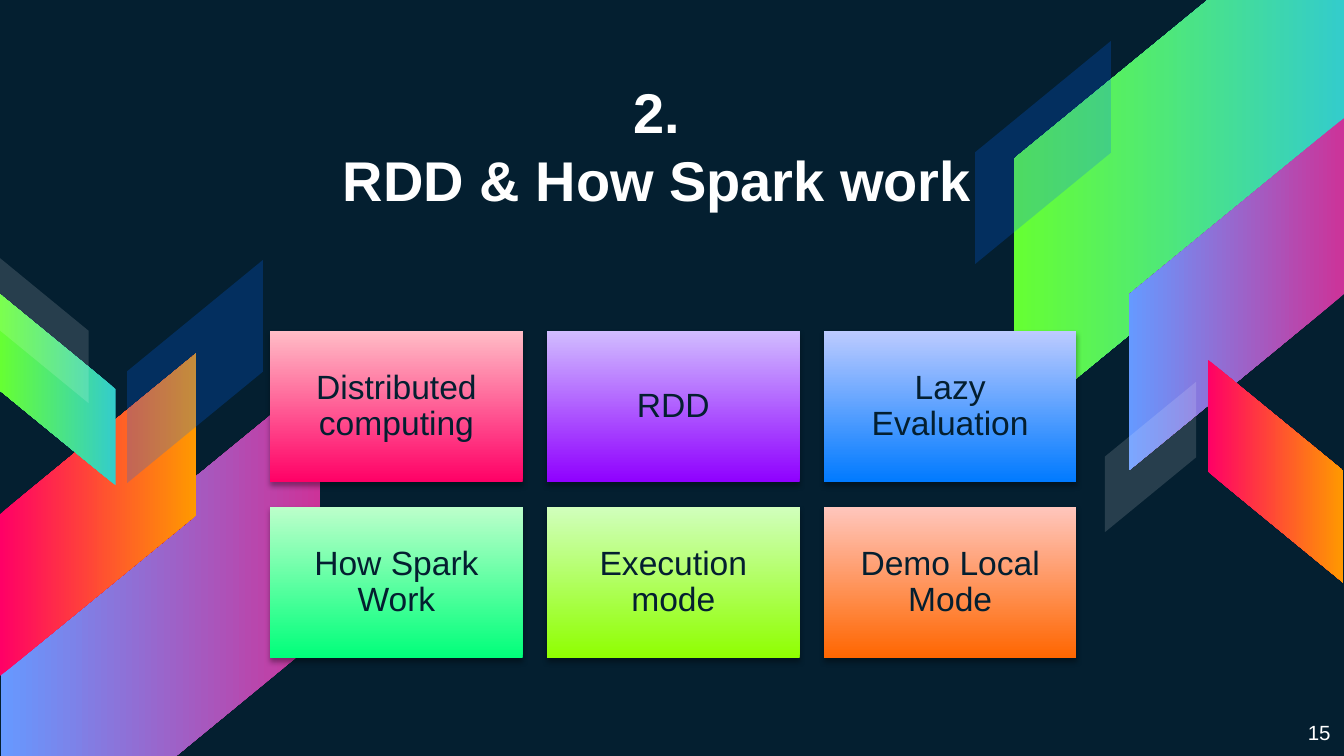
from typing import NamedTuple, Optional

from lxml.etree import SubElement
from pptx import Presentation
from pptx.dml.color import RGBColor
from pptx.enum.shapes import MSO_SHAPE
from pptx.enum.text import MSO_ANCHOR, MSO_AUTO_SIZE, PP_ALIGN
from pptx.oxml.ns import qn
from pptx.util import Inches, Pt

NAVY = RGBColor(0x04, 0x1F, 0x30)
WHITE = RGBColor(0xFF, 0xFF, 0xFF)
BLUE = RGBColor(0x00, 0x66, 0xFF)
TEAL = RGBColor(0x33, 0xCC, 0xCC)
LIME = RGBColor(0x66, 0xFF, 0x33)
MAGENTA = RGBColor(0xCC, 0x33, 0x99)
SKY = RGBColor(0x66, 0x99, 0xFF)
RED = RGBColor(0xFF, 0x00, 0x66)
AMBER = RGBColor(0xFF, 0x99, 0x00)
FONT = "Arial"
SLANT = 0.82


class Ribbon(NamedTuple):
    left: float
    top: float
    width: float
    height: float
    rotation: int
    flip: bool
    start: RGBColor
    end: Optional[RGBColor] = None  # without an end colour the fill is plain
    alpha: int = 100


class Card(NamedTuple):
    text: str
    bottom: RGBColor
    top: RGBColor


RIBBONS = [
    Ribbon(6.76, -0.05, 4.03, 2.46, 90, True, TEAL, LIME),
    Ribbon(-0.76, 3.55, 3.91, 2.38, 90, True, MAGENTA, SKY),
    Ribbon(-0.47, 3.1, 2.4, 1.46, 270, True, RED, AMBER),
    Ribbon(0.62, 2.26, 1.66, 1.01, 270, True, BLUE, alpha=23),
    Ribbon(-0.28, 2.47, 1.42, 0.86, 90, False, TEAL, LIME),
    Ribbon(-0.21, 2.13, 1.08, 0.66, 270, False, WHITE, alpha=14),
    Ribbon(7.89, 1.39, 2.62, 1.6, 90, True, MAGENTA, SKY),
    Ribbon(8.66, 3, 1.66, 1.01, 270, False, RED, AMBER),
    Ribbon(8, 3.06, 1.12, 0.68, 270, True, WHITE, alpha=14),
    Ribbon(6.93, 0.63, 1.66, 1.01, 270, True, BLUE, alpha=23),
]

CARDS = [
    Card("Distributed computing", RED, RGBColor(0xFF, 0xBD, 0xC6)),
    Card("RDD", RGBColor(0x8F, 0x00, 0xFF), RGBColor(0xD1, 0xBD, 0xFF)),
    Card("Lazy Evaluation", RGBColor(0x00, 0x7A, 0xFF), RGBColor(0xBD, 0xCB, 0xFF)),
    Card("How Spark Work", RGBColor(0x00, 0xFF, 0x7A), RGBColor(0xBD, 0xFF, 0xCB)),
    Card("Execution mode", RGBColor(0x8F, 0xFF, 0x00), RGBColor(0xD1, 0xFF, 0xBD)),
    Card("Demo Local Mode", RGBColor(0xFF, 0x66, 0x00), RGBColor(0xFF, 0xC6, 0xBD)),
]
COLUMNS = 3
CARD_LEFT, CARD_TOP = 2.01, 2.46
CARD_WIDTH, CARD_HEIGHT = 1.88, 1.13
GAP = 0.18


def place(sp, left: float, top: float, width: float, height: float) -> None:
    sp.left, sp.top = Inches(left), Inches(top)
    sp.width, sp.height = Inches(width), Inches(height)


def write(sp, text: str, *, size: float, color: RGBColor, align: PP_ALIGN,
          anchor: MSO_ANCHOR = MSO_ANCHOR.TOP, bold: bool = False,
          inset: float = 0.1, spacing: float = 1.0) -> None:
    """Fill a shape with text, one paragraph for each line."""
    tf = sp.text_frame
    tf.text = text
    tf.word_wrap = True
    tf.auto_size = MSO_AUTO_SIZE.NONE
    tf.vertical_anchor = anchor
    tf.margin_left = tf.margin_right = Inches(inset)
    tf.margin_top = tf.margin_bottom = Inches(inset)
    for p in tf.paragraphs:
        p.alignment = align
        p.line_spacing = spacing
        p.space_before = Pt(0)
        for r in p.runs:
            r.font.name = FONT
            r.font.size = Pt(size)
            r.font.bold = bold
            r.font.color.rgb = color


def fill_gradient(sp, start: RGBColor, end: RGBColor, angle: int) -> None:
    sp.fill.gradient()
    sp.fill.gradient_angle = angle
    for stop, color in zip(sp.fill.gradient_stops, (start, end)):
        stop.color.rgb = color


def add_plain_shape(s, kind: MSO_SHAPE):
    sp = s.shapes.add_shape(kind, 0, 0, 0, 0)
    sp.shadow.inherit = False
    sp.line.fill.background()
    return sp


def add_ribbon(s, ribbon: Ribbon) -> None:
    sp = add_plain_shape(s, MSO_SHAPE.PARALLELOGRAM)
    place(sp, *ribbon[:4])
    sp.adjustments[0] = SLANT
    sp.rotation = ribbon.rotation
    if ribbon.flip:
        sp._element.spPr.xfrm.set("flipH", "1")
    if ribbon.end is not None:
        fill_gradient(sp, ribbon.start, ribbon.end, 270)
    else:
        sp.fill.solid()
        sp.fill.fore_color.rgb = ribbon.start
        clr = sp._element.spPr.find(".//" + qn("a:srgbClr"))
        SubElement(clr, qn("a:alpha"), val=str(ribbon.alpha * 1000))


def add_soft_shadow(sp) -> None:
    effects = sp._element.spPr.find(qn("a:effectLst"))
    shadow = SubElement(effects, qn("a:outerShdw"), blurRad=str(Pt(3.1)),
                        dist=str(Pt(1.8)), dir="5400000", rotWithShape="0")
    clr = SubElement(shadow, qn("a:srgbClr"), val="000000")
    SubElement(clr, qn("a:alpha"), val="35000")


def add_card(s, index: int, card: Card) -> None:
    row, column = divmod(index, COLUMNS)
    sp = add_plain_shape(s, MSO_SHAPE.RECTANGLE)
    place(sp, CARD_LEFT + column * (CARD_WIDTH + GAP),
          CARD_TOP + row * (CARD_HEIGHT + GAP), CARD_WIDTH, CARD_HEIGHT)
    fill_gradient(sp, card.bottom, card.top, 90)
    add_soft_shadow(sp)
    write(sp, card.text, size=18, color=NAVY, align=PP_ALIGN.CENTER,
          anchor=MSO_ANCHOR.MIDDLE, inset=0.07, spacing=0.9)


def main() -> None:
    # Widescreen page, 16:9
    prs = Presentation()
    prs.slide_width = Inches(10)
    prs.slide_height = prs.slide_width * 9 // 16
    s = prs.slides.add_slide(prs.slide_layouts[5])
    s.background.fill.solid()
    s.background.fill.fore_color.rgb = NAVY

    # Slanted ribbons on both sides
    for ribbon in RIBBONS:
        add_ribbon(s, ribbon)

    # Title
    title = s.shapes.title
    place(title, 2.19, 0.41, 5.4, 1.27)
    write(title, "2.\nRDD & How Spark work", size=30, color=WHITE, bold=True,
          align=PP_ALIGN.CENTER, anchor=MSO_ANCHOR.BOTTOM)

    # Slide number
    number = s.shapes.add_textbox(0, 0, 0, 0)
    place(number, 9.36, 5.26, 0.64, 0.36)
    write(number, "15", size=11, color=WHITE, align=PP_ALIGN.RIGHT)

    # Topic cards
    for index, card in enumerate(CARDS):
        add_card(s, index, card)

    prs.save("out.pptx")


if __name__ == "__main__":
    main()
